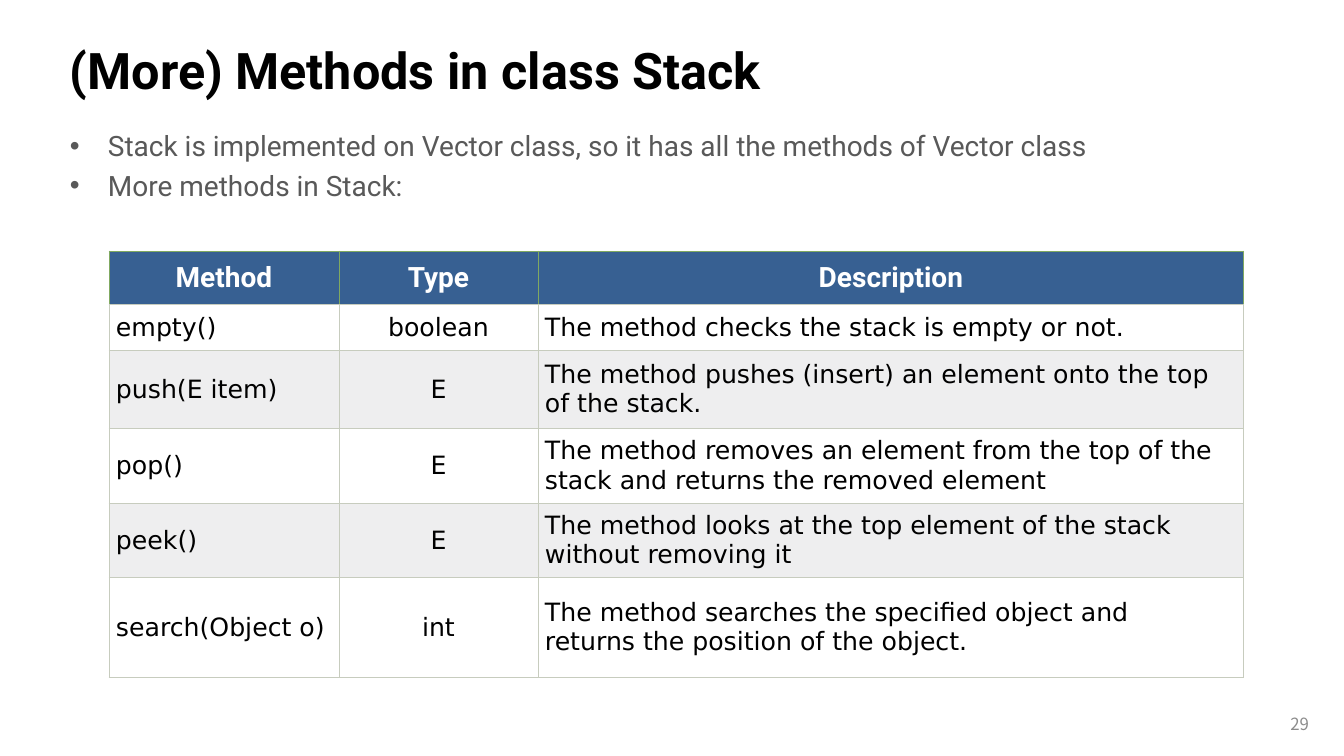
from dataclasses import dataclass

from lxml.etree import SubElement
from pptx import Presentation
from pptx.dml.color import RGBColor
from pptx.enum.text import MSO_ANCHOR as Anchor, PP_ALIGN as Align
from pptx.oxml.ns import qn
from pptx.util import Pt

EMU_PER_PX = 914400 / 100.8


@dataclass(frozen=True)
class Theme:
    heading_font: str = "Roboto"
    table_font: str = "DejaVu Sans"
    number_font: str = "Noto Sans CJK KR"
    title_size: int = 36
    body_size: int = 20
    cell_size: int = 18
    number_size: int = 12
    black: str = "000000"
    white: str = "FFFFFF"
    body: str = "595959"
    number: str = "8C8C8C"
    header: str = "376092"
    band: str = "EEEEEF"
    header_border: str = "80A961"
    border: str = "C7CCBE"


THEME = Theme()

BULLETS = [
    "Stack is implemented on Vector class, so it has all the methods of Vector class",
    "More methods in Stack:",
]
# A vertical tab marks a line break.
METHODS = [
    ("Method", "Type", "Description"),
    ("empty()", "boolean", "The method checks the stack is empty or not."),
    ("push(E item)", "E",
     "The method pushes (insert) an element onto the top of the stack."),
    ("pop()", "E",
     "The method removes an element from the top of the stack and returns the removed element"),
    ("peek()", "E",
     "The method looks at the top element of the stack without removing it"),
    ("search(Object o)", "int",
     "The method searches the specified object and\vreturns the position of the object."),
]
COLUMN_WIDTHS = [230, 199, 706]
ROW_HEIGHTS = [53, 46, 78, 74, 72, 100]


def px(length):
    return round(length * EMU_PER_PX)


def write_text(paragraph, text, *, font, size, color, bold=False, align=Align.LEFT):
    paragraph.text = text
    paragraph.alignment = align
    for run in paragraph.runs:
        run.font.name = font
        run.font.size = Pt(size)
        run.font.bold = bold
        run.font.color.rgb = RGBColor.from_string(color)


def add_text_frame(slide, box, anchor):
    frame = slide.shapes.add_textbox(*map(px, box)).text_frame
    frame.word_wrap = True
    frame.vertical_anchor = anchor
    return frame


def add_title(slide, box, text):
    frame = add_text_frame(slide, box, Anchor.MIDDLE)
    write_text(frame.paragraphs[0], text, font=THEME.heading_font,
               size=THEME.title_size, color=THEME.black, bold=True)


def set_bullet(paragraph, indent):
    properties = paragraph._p.get_or_add_pPr()
    properties.set("marL", str(px(indent)))
    properties.set("indent", str(-px(indent)))
    SubElement(properties, qn("a:buFont"), typeface="Arial")
    SubElement(properties, qn("a:buChar"), char="•")


def add_bullets(slide, box, lines):
    frame = add_text_frame(slide, box, Anchor.TOP)
    for index, line in enumerate(lines):
        paragraph = frame.add_paragraph() if index else frame.paragraphs[0]
        write_text(paragraph, line, font=THEME.heading_font,
                   size=THEME.body_size, color=THEME.body)
        paragraph.space_before = Pt(THEME.body_size * 0.2)
        set_bullet(paragraph, 38)


def add_page_number(slide, box, number):
    frame = add_text_frame(slide, box, Anchor.MIDDLE)
    write_text(frame.paragraphs[0], number, font=THEME.number_font,
               size=THEME.number_size, color=THEME.number, align=Align.RIGHT)


def style_cell(cell, *, fill, margin, side_color):
    """Set fill, margins and borders; the bottom border is always the grid colour."""
    cell.vertical_anchor = Anchor.MIDDLE
    cell.margin_left = cell.margin_right = px(margin)
    cell.margin_top = cell.margin_bottom = px(margin)
    properties = cell._tc.get_or_add_tcPr()
    for side in "LRTB":
        line = SubElement(properties, qn(f"a:ln{side}"), w=str(Pt(0.75)))
        color = THEME.border if side == "B" else side_color
        SubElement(SubElement(line, qn("a:solidFill")), qn("a:srgbClr"), val=color)
    cell.fill.solid()
    cell.fill.fore_color.rgb = RGBColor.from_string(fill)


def add_method_table(slide, box, rows):
    table = slide.shapes.add_table(len(rows), len(rows[0]), *map(px, box)).table
    for column, width in zip(table.columns, COLUMN_WIDTHS):
        column.width = px(width)
    for row, height in zip(table.rows, ROW_HEIGHTS):
        row.height = px(height)
    for row_index, row in enumerate(rows):
        is_header = row_index == 0
        if is_header:
            text_format = dict(font=THEME.heading_font, size=THEME.body_size,
                               color=THEME.white, bold=True)
            cell_format = dict(fill=THEME.header, margin=10,
                               side_color=THEME.header_border)
        else:
            text_format = dict(font=THEME.table_font, size=THEME.cell_size,
                               color=THEME.black)
            cell_format = dict(fill=THEME.white if row_index % 2 else THEME.band,
                               margin=7, side_color=THEME.border)
        for column_index, text in enumerate(row):
            cell = table.cell(row_index, column_index)
            centered = is_header or column_index == 1
            write_text(cell.text_frame.paragraphs[0], text, **text_format,
                       align=Align.CENTER if centered else Align.LEFT)
            style_cell(cell, **cell_format)


def main():
    presentation = Presentation()
    presentation.slide_width = px(1344)
    presentation.slide_height = px(756)
    slide = presentation.slides.add_slide(presentation.slide_layouts[6])
    add_title(slide, (60, 29, 1218, 80), "(More) Methods in class Stack")
    add_bullets(slide, (60, 124, 1218, 95), BULLETS)
    add_method_table(slide, (109, 251, sum(COLUMN_WIDTHS), sum(ROW_HEIGHTS)), METHODS)
    add_page_number(slide, (1278, 704, 41, 40), "29")
    presentation.save("out.pptx")


if __name__ == "__main__":
    main()
